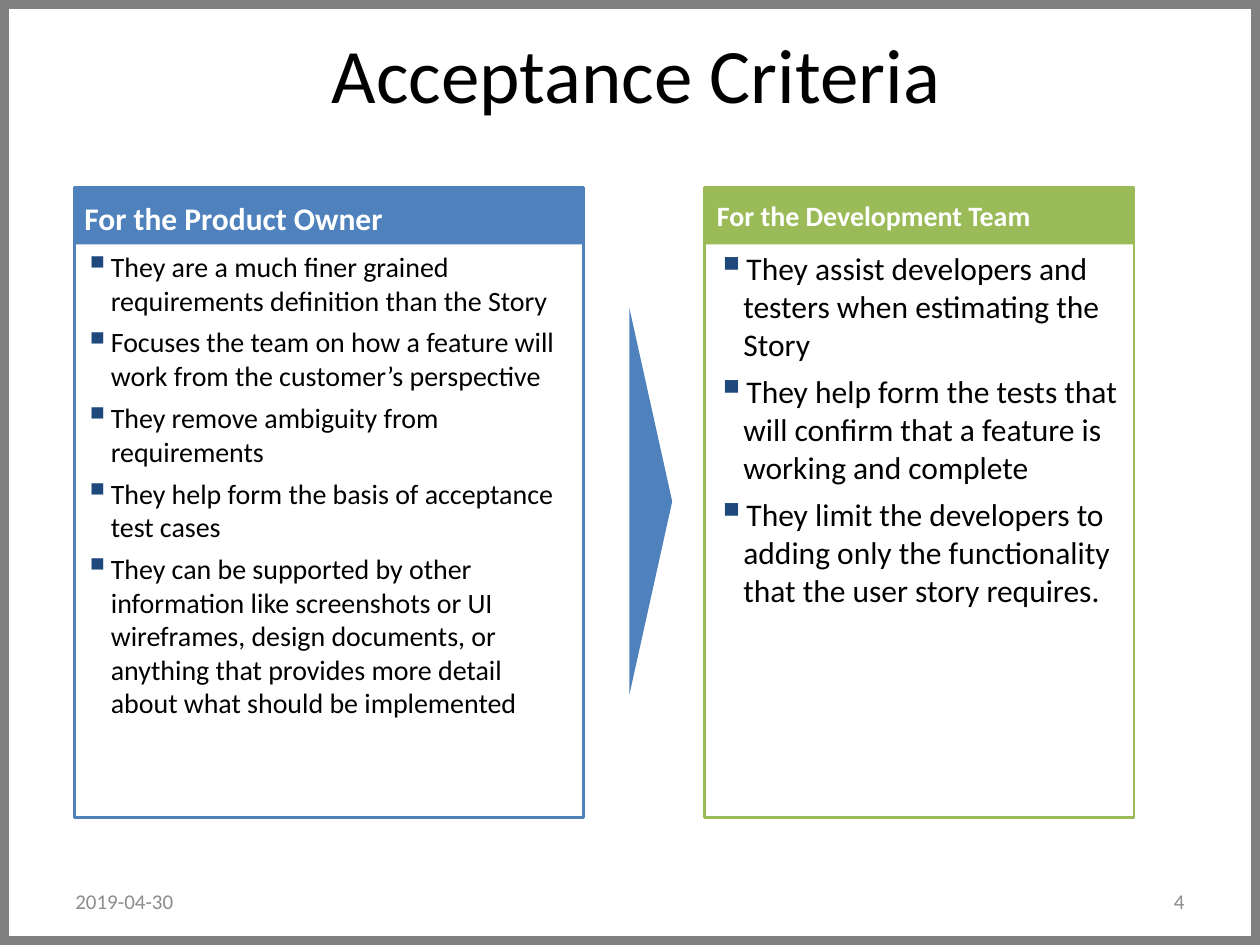
import pptx
import pptx.dml.color
import pptx.enum.shapes
import pptx.enum.text
import pptx.oxml
import pptx.oxml.ns
import pptx.util
from dataclasses import dataclass

Inches = pptx.util.Inches
Pt = pptx.util.Pt
SHAPE = pptx.enum.shapes.MSO_SHAPE
ALIGN = pptx.enum.text.PP_ALIGN
ANCHOR = pptx.enum.text.MSO_ANCHOR


@dataclass(frozen=True)
class Theme:
    font: str = "Calibri"
    black: str = "000000"
    white: str = "FFFFFF"
    frame: str = "808080"
    footer: str = "8C8C8C"
    blue: str = "4F81BD"
    green: str = "9BBB59"
    bullet: str = "1F497D"
    title_size: int = 44
    large_size: int = 18
    medium_size: int = 16
    footer_size: int = 12


THEME = Theme()
PANEL_TOP, PANEL_HEIGHT, HEADER_HEIGHT = 1.49, 5, 0.45
HEADING_TOP, HEADING_HEIGHT, BODY_TOP, BODY_HEIGHT = 1.58, 0.27, 1.98, 4.45

OWNER_POINTS = [
    "They are a much finer grained requirements definition than the Story",
    "Focuses the team on how a feature will work from the customer’s perspective",
    "They remove ambiguity from requirements",
    "They help form the basis of acceptance test cases",
    "They can be supported by other information like screenshots or UI wireframes, "
    "design documents, or anything that provides more detail about what should be implemented",
]
TEAM_POINTS = [
    "They assist developers and testers when estimating the Story",
    "They help form the tests that will confirm that a feature is working and complete",
    "They limit the developers to adding only the functionality that the user story requires.",
]


def rgb(color):
    return pptx.dml.color.RGBColor.from_string(color)


class SlideBuilder:
    def __init__(self, slide, theme):
        self.s = slide
        self.theme = theme

    def shape(self, kind, box, fill=None, line=None, width=1.5, rotation=0):
        sp = self.s.shapes.add_shape(kind, *map(Inches, box))
        sp.shadow.inherit = False
        sp.rotation = rotation
        if fill:
            sp.fill.solid()
            sp.fill.fore_color.rgb = rgb(fill)
        else:
            sp.fill.background()
        if line:
            sp.line.color.rgb = rgb(line)
            sp.line.width = Pt(width)
        else:
            sp.line.fill.background()
        return sp

    def text(self, box, lines, size, color, bold=False, align=ALIGN.LEFT,
             anchor=ANCHOR.TOP, inset=(0, 0)):
        """Add one paragraph per line; inset is (horizontal, vertical) in inches."""
        tf = self.s.shapes.add_textbox(*map(Inches, box)).text_frame
        tf.word_wrap = True
        tf.vertical_anchor = anchor
        tf.margin_left = tf.margin_right = Inches(inset[0])
        tf.margin_top = tf.margin_bottom = Inches(inset[1])
        tf.text = "\n".join(lines)
        for p in tf.paragraphs:
            p.alignment = align
            for r in p.runs:
                r.font.name = self.theme.font
                r.font.size = Pt(size)
                r.font.bold = bold
                r.font.color.rgb = rgb(color)
        return tf

    def indent(self, p, left, first):
        pPr = p._p.get_or_add_pPr()
        pPr.set("marL", str(Inches(left)))
        pPr.set("indent", str(Inches(first)))
        return pPr

    def title(self, text):
        tf = self.text((0.19, 0.21, 9.62, 0.75), [text], self.theme.title_size,
                       self.theme.black, align=ALIGN.CENTER)
        self.indent(tf.paragraphs[0], 0.49, -0.39)

    def bullets(self, box, points, size):
        tf = self.text(box, points, size, self.theme.black)
        ns = pptx.oxml.ns.nsdecls("a")
        for p in tf.paragraphs:
            p.level = 1
            pPr = self.indent(p, 0.21, -0.21)
            for xml in (
                f'<a:spcBef {ns}><a:spcPct val="30000"/></a:spcBef>',
                f'<a:buClr {ns}><a:srgbClr val="{self.theme.bullet}"/></a:buClr>',
                f'<a:buSzPct {ns} val="125000"/>',
                f'<a:buChar {ns} char="▪"/>',
            ):
                pPr.append(pptx.oxml.parse_xml(xml))

    def panel(self, left, width, pad, color, heading, heading_size, points, size):
        self.shape(SHAPE.RECTANGLE, (left, PANEL_TOP, width, HEADER_HEIGHT), fill=color)
        self.shape(SHAPE.RECTANGLE, (left, PANEL_TOP, width, PANEL_HEIGHT), line=color)
        x, w = left + pad, width - 2 * pad
        self.text((x, HEADING_TOP, w, HEADING_HEIGHT), [heading], heading_size,
                  self.theme.white, bold=True)
        self.bullets((x, BODY_TOP, w, BODY_HEIGHT), points, size)

    def footer(self, left, text, align):
        self.text((left, 6.95, 2.33, 0.4), [text], self.theme.footer_size,
                  self.theme.footer, align=align, anchor=ANCHOR.MIDDLE, inset=(0.1, 0.05))


def main():
    prs = pptx.Presentation()
    prs.slide_width, prs.slide_height = Inches(10), Inches(7.5)
    t = THEME
    b = SlideBuilder(prs.slides.add_slide(prs.slide_layouts[6]), t)

    b.shape(SHAPE.RECTANGLE, (0, 0, 10, 7.5), line=t.frame, width=10)
    b.title("Acceptance Criteria")
    b.panel(0.59, 4.04, 0.08, t.blue, "For the Product Owner", t.large_size,
            OWNER_POINTS, t.medium_size)
    b.shape(SHAPE.ISOSCELES_TRIANGLE, (3.63, 3.81, 3.07, 0.34), fill=t.blue, rotation=90)
    b.panel(5.59, 3.41, 0.1, t.green, "For the Development Team", t.medium_size,
            TEAM_POINTS, t.large_size)
    b.footer(0.5, "2019-04-30", ALIGN.LEFT)
    b.footer(7.17, "4", ALIGN.RIGHT)

    prs.save("out.pptx")


if __name__ == "__main__":
    main()
